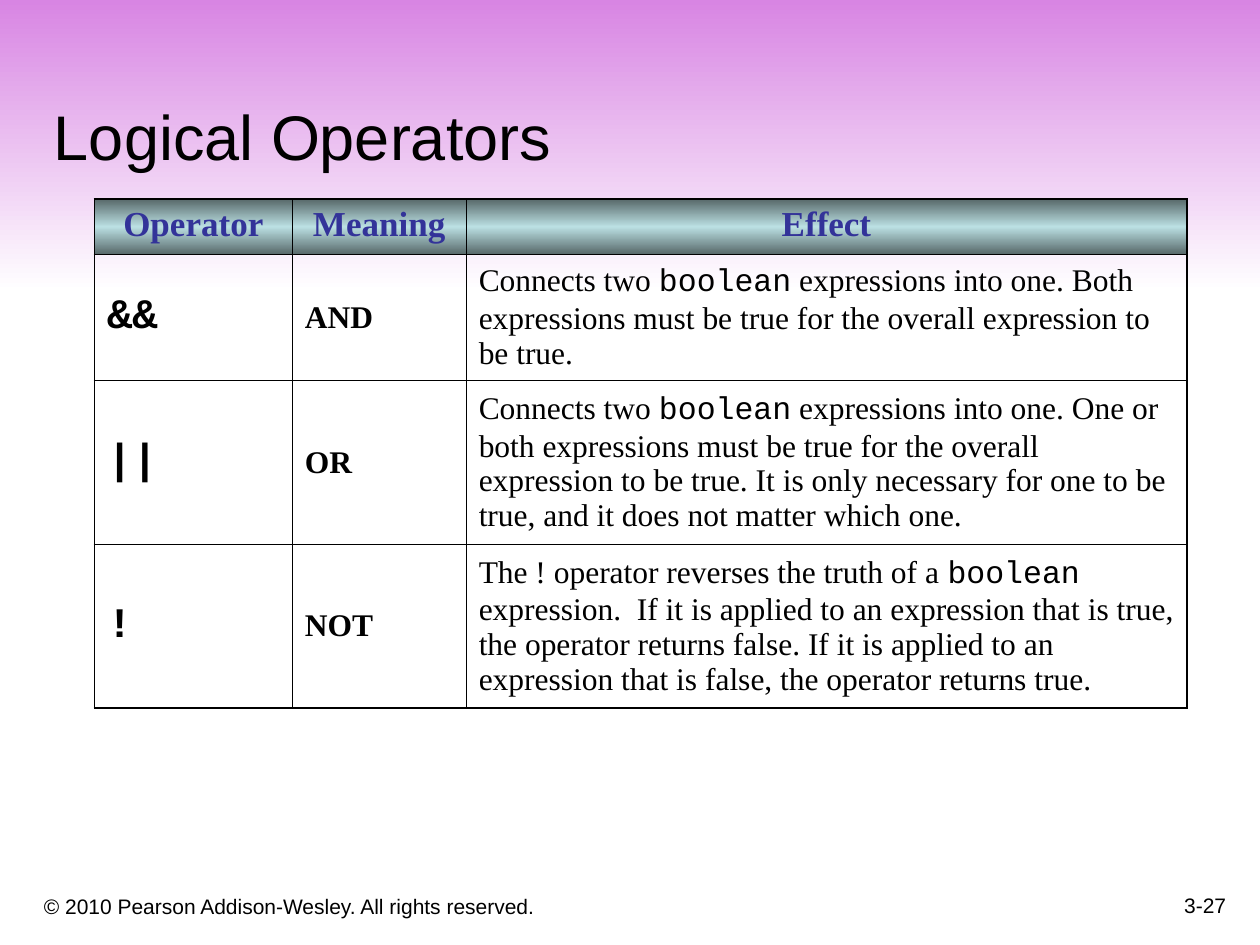
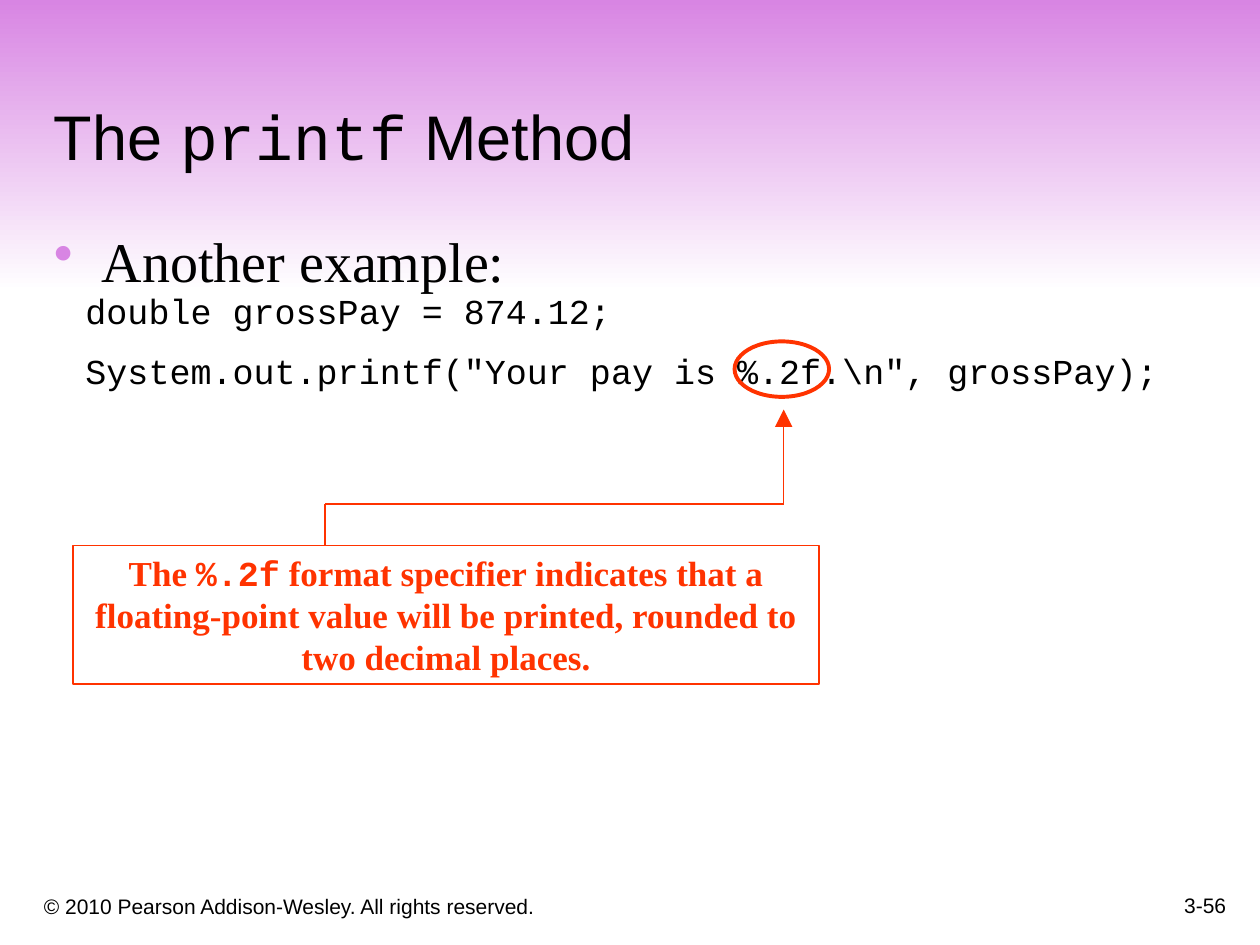
from lxml import etree
from pptx import Presentation
from pptx.dml.color import RGBColor
from pptx.enum import shapes as sh, text as tx
from pptx.oxml import ns
from pptx.util import Inches, Pt

BLACK = RGBColor(0x00, 0x00, 0x00)
ORCHID = RGBColor(0xD8, 0x85, 0xE3)
WHITE = RGBColor(0xFF, 0xFF, 0xFF)
NAVY = RGBColor(0x33, 0x33, 0x99)
SLATE = RGBColor(0x57, 0x68, 0x69)
ICE = RGBColor(0xBB, 0xE0, 0xE3)
RED = RGBColor(0xFF, 0x33, 0x00)

SANS, SERIF, MONO = "Arial", "Times New Roman", "Courier New"
LEFT, MID, RIGHT = tx.PP_ALIGN.LEFT, tx.PP_ALIGN.CENTER, tx.PP_ALIGN.RIGHT
NOTICE = "© 2010 Pearson Addison-Wesley. All rights reserved."

ROWS = [
    ("Operator", "Meaning", "Effect"),
    ("`&&`", "AND",
     "Connects two `boolean` expressions into one. Both expressions must be "
     "true for the overall expression to be true."),
    ("`||`", "OR",
     "Connects two `boolean` expressions into one. One or both expressions "
     "must be true for the overall expression to be true. It is only "
     "necessary for one to be true, and it does not matter which one."),
    ("`!`", "NOT",
     "The ! operator reverses the truth of a `boolean` expression.  If it is "
     "applied to an expression that is true, the operator returns false. If "
     "it is applied to an expression that is false, the operator returns "
     "true."),
]


def sub(node, tag, **attrs):
    child = etree.SubElement(node, ns.qn(tag))
    for key, val in attrs.items():
        child.set(key, str(val))
    return child


def write(frame, *lines, font=SERIF, size=18, color=BLACK, bold=False,
          align=LEFT, gap=0, bullet=None):
    """Fill a frame, one paragraph per line; parts in backticks are code."""
    for num, line in enumerate(lines):
        para = frame.paragraphs[0] if num == 0 else frame.add_paragraph()
        if bullet:
            props = para._p.get_or_add_pPr()
            props.set("marL", str(Inches(0.38)))
            props.set("indent", str(-Inches(0.38)))
            sub(sub(props, "a:buClr"), "a:srgbClr", val=bullet)
            sub(props, "a:buChar", char="•")
        para.alignment = align
        para.space_before = Pt(gap if num else 0)
        para.space_after = Pt(gap)
        for part, words in enumerate(line.split("`")):
            if words:
                run = para.add_run()
                run.text = words
                run.font.name = MONO if part % 2 else font
                run.font.size = Pt(size)
                run.font.bold = bold
                run.font.color.rgb = color


def label(slide, box, *lines, anchor=tx.MSO_ANCHOR.TOP, **style):
    frame = slide.shapes.add_textbox(*map(Inches, box)).text_frame
    frame.word_wrap = True
    frame.vertical_anchor = anchor
    write(frame, *lines, **style)


def shade(fill, node, *colors):
    """Blend evenly spaced colours from top to bottom."""
    fill.gradient()
    fill.gradient_angle = 270
    stops = node.find(".//" + ns.qn("a:gsLst"))
    for old in list(stops):
        stops.remove(old)
    for num, color in enumerate(colors):
        stop = sub(stops, "a:gs", pos=100000 * num // (len(colors) - 1))
        sub(stop, "a:srgbClr", val=color)


def draw(slide, kind, box, color=None, width=0.75):
    """Add an unfilled shape, outlined if a colour is given."""
    shape = slide.shapes.add_shape(kind, *map(Inches, box))
    shape.shadow.inherit = False
    shape.fill.background()
    if color is None:
        shape.line.fill.background()
    else:
        shape.line.color.rgb = color
        shape.line.width = Pt(width)
    return shape


def base(deck, title, page):
    """Add a slide with the shared band, title and footer."""
    slide = deck.slides.add_slide(deck.slide_layouts[6])
    band = draw(slide, sh.MSO_SHAPE.RECTANGLE, (0, 0, 10, 2.32))
    shade(band.fill, band._element, ORCHID, WHITE)
    low = tx.MSO_ANCHOR.BOTTOM
    label(slide, (0.25, 6.92, 6.08, 0.42), NOTICE,
          anchor=low, font=SANS, size=12)
    label(slide, (7.75, 6.83, 2.08, 0.5), page,
          anchor=low, font=SANS, size=12, align=RIGHT)
    label(slide, (0.33, 0.33, 9.42, 1.09), title,
          anchor=low, font=SANS, size=36)
    return slide


def edge(cell, outer):
    """Rule a cell; sides named in outer get the heavier line."""
    props = cell._tc.get_or_add_tcPr()
    for side in "LRTB":
        width = Pt(1.08 if side in outer else 0.45)
        line = sub(props, "a:ln" + side, w=width)
        sub(sub(line, "a:solidFill"), "a:srgbClr", val=BLACK)


def grid(slide, left, top, cols, tall):
    frame = slide.shapes.add_table(
        len(tall), len(cols), Inches(left), Inches(top),
        Inches(sum(cols)), Inches(sum(tall)))
    table = frame.table
    table.first_row = table.horz_banding = False
    for col, width in zip(table.columns, cols):
        col.width = Inches(width)
    for row, height in zip(table.rows, tall):
        row.height = Inches(height)
    for r, texts in enumerate(ROWS):
        for c, words in enumerate(texts):
            cell = table.cell(r, c)
            cell.margin_left = cell.margin_right = Inches(0.1)
            cell.margin_top = cell.margin_bottom = Inches(0.05)
            ends = {"T": r == 0, "B": r == len(tall) - 1,
                    "L": c == 0, "R": c == len(cols) - 1}
            edge(cell, [side for side, hit in ends.items() if hit])
            if r == 0:
                shade(cell.fill, cell._tc, SLATE, ICE, SLATE)
                write(cell.text_frame, words, size=20, color=NAVY,
                      bold=True, align=MID)
            else:
                cell.fill.background()
                cell.vertical_anchor = tx.MSO_ANCHOR.MIDDLE
                write(cell.text_frame, words, size=24 if c == 0 else 18,
                      bold=c < 2)


def route(slide, *points):
    """Join points with straight lines, the last one ending in an arrow."""
    for start, end in zip(points, points[1:]):
        line = slide.shapes.add_connector(
            sh.MSO_CONNECTOR.STRAIGHT, *map(Inches, start + end))
        line.line.color.rgb = RED
        line.line.width = Pt(0.75)
        if end == points[-1]:
            sub(line.line._get_or_add_ln(), "a:tailEnd", type="triangle",
                w="lg", len="lg")
        sub(line._element.spPr, "a:effectLst")


def note(slide, left, top, wide, high):
    """Add the boxed remark and the arrow from it to the specifier."""
    box = draw(slide, sh.MSO_SHAPE.RECTANGLE, (left, top, wide, high), RED)
    frame = box.text_frame
    frame.word_wrap = True
    frame.vertical_anchor = tx.MSO_ANCHOR.TOP
    write(frame, "The `%.2f` format specifier indicates that a "
          "floating-point value will be printed, rounded to two decimal "
          "places.", size=20, color=RED, bold=True, align=MID)
    start, turn, goal = left + 2, top - 0.33, left + 5.64
    route(slide, (start, top), (start, turn), (goal, turn),
          (goal, top - 1.08))


def logic(deck):
    slide = base(deck, "Logical Operators", "3-27")
    grid(slide, 0.75, 1.58, (1.57, 1.38, 5.72), (0.44, 1, 1.3, 1.3))


def printf(deck):
    slide = base(deck, "The `printf` Method", "3-56")
    label(slide, (0.33, 1.75, 9.07, 0.6), "Another example:",
          size=32, bullet=ORCHID)
    label(slide, (0.58, 2.25, 9.08, 0.91), "double grossPay = 874.12;",
          'System.out.printf("Your pay is %.2f.\\n", grossPay);',
          font=MONO, size=20, gap=5)
    draw(slide, sh.MSO_SHAPE.OVAL, (5.83, 2.71, 0.75, 0.44), RED, 2.25)
    note(slide, 0.58, 4.33, 5.92, 1.1)


def main():
    deck = Presentation()
    deck.slide_width, deck.slide_height = Inches(10), Inches(7.5)
    logic(deck)
    printf(deck)
    deck.save("out.pptx")


if __name__ == "__main__":
    main()
